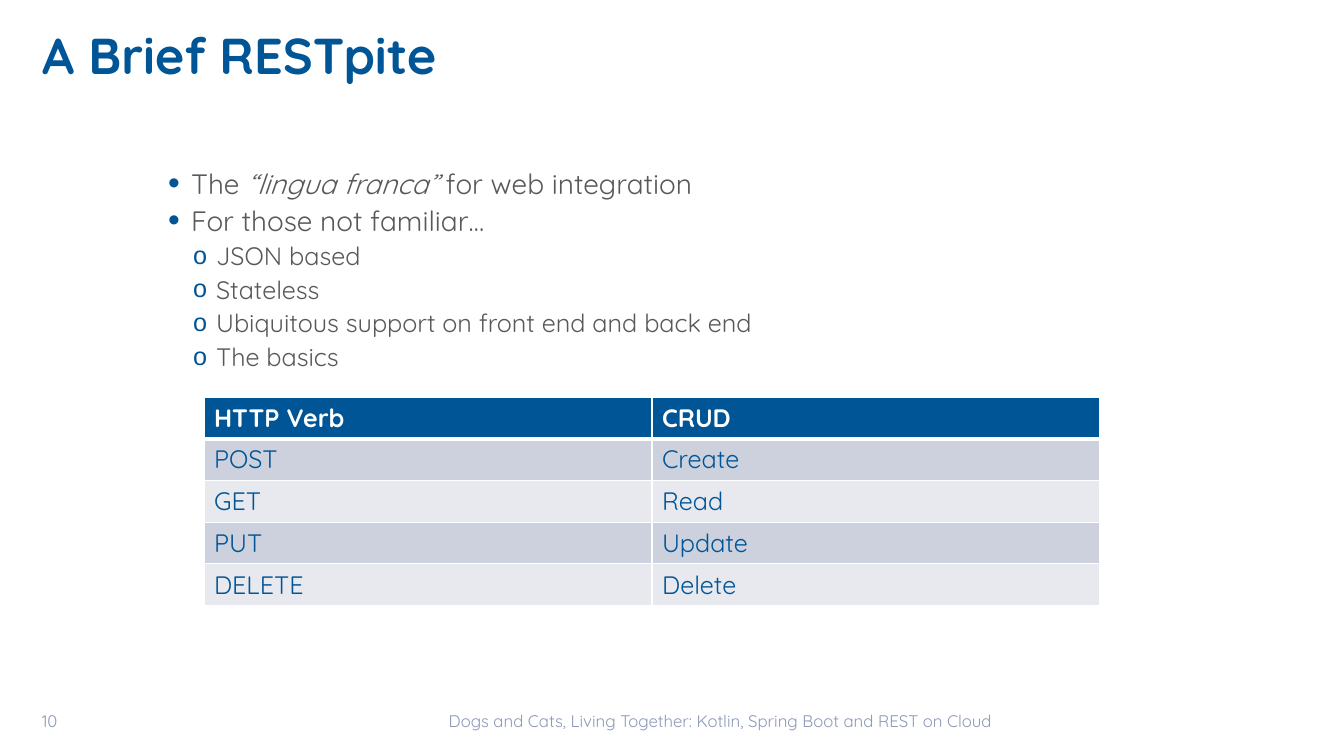
from lxml.etree import SubElement
from pptx import Presentation
from pptx.dml.color import RGBColor
from pptx.enum.text import MSO_ANCHOR, MSO_AUTO_SIZE, PP_ALIGN
from pptx.oxml.ns import qn
from pptx.util import Emu, Pt

BLUE = RGBColor(0x00, 0x55, 0x96)
GREY = RGBColor(0x58, 0x59, 0x5A)
MUTED = RGBColor(0x8C, 0x99, 0xB8)
WHITE = RGBColor(0xFE, 0xFF, 0xFF)
BAND_DARK = RGBColor(0xCC, 0xD1, 0xDD)
BAND_LIGHT = RGBColor(0xE7, 0xE9, 0xEF)
PX = 914400 / 100.8


def place(box, frame, anchor):
    box.left, box.top, box.width, box.height = [Emu(round(n * PX)) for n in frame]
    layout = {"word_wrap": True, "auto_size": MSO_AUTO_SIZE.NONE, "vertical_anchor": anchor}
    for name, value in layout.items():
        setattr(box.text_frame, name, value)


def write(para, text, size, color, bold=False, italic=False):
    span = para.add_run()
    span.text = text
    span.font.color.rgb = color
    style = {"name": "Quicksand", "size": Pt(size), "bold": bold, "italic": italic}
    for name, value in style.items():
        setattr(span.font, name, value)


deck = Presentation()
deck.slide_width, deck.slide_height = Emu(round(1344 * PX)), Emu(round(756 * PX))
page = deck.slides.add_slide(deck.slide_layouts[1])

# Title
title = page.shapes.title
place(title, (32, 18, 1282, 73), MSO_ANCHOR.MIDDLE)
title.text_frame.paragraphs[0].alignment = PP_ALIGN.LEFT
write(title.text_frame.paragraphs[0], "A Brief RESTpite", 36, BLUE, bold=True)

# Bullet list: level and spans of each point
points = [
    (0, ["The ", "“lingua franca” ", "for web integration"]),
    (0, ["For those not familiar…"]),
    (1, ["JSON based"]),
    (1, ["Stateless"]),
    (1, ["Ubiquitous support on front end and back end"]),
    (1, ["The basics"]),
]
levels = [("•", 28, 20, 120000), ("o", 53, 18, 100000)]
body = page.placeholders[1]
place(body, (153, 161, 996, 495), MSO_ANCHOR.TOP)
for index, (level, texts) in enumerate(points):
    mark, indent, size, mark_size = levels[level]
    para = body.text_frame.paragraphs[0] if index == 0 else body.text_frame.add_paragraph()
    para.level = level
    para.space_before = Pt(2.5 if index else 0)
    properties = para._p.get_or_add_pPr()
    properties.set("marL", str(round(indent * PX)))
    properties.set("indent", str(round(-23 * PX)))
    mark_color = SubElement(properties, qn("a:buClr"))
    SubElement(mark_color, qn("a:srgbClr")).set("val", str(BLUE))
    SubElement(properties, qn("a:buSzPct")).set("val", str(mark_size))
    SubElement(properties, qn("a:buChar")).set("char", mark)
    for text in texts:
        write(para, text, size, GREY, italic=text.startswith("“"))

# Verb table
rows = [
    ("HTTP Verb", "CRUD"),
    ("POST", "Create"),
    ("GET", "Read"),
    ("PUT", "Update"),
    ("DELETE", "Delete"),
]
frame = [Emu(round(n * PX)) for n in (204, 397, 896, 205)]
table = page.shapes.add_table(len(rows), 2, *frame).table
for row, texts in enumerate(rows):
    for column, text in enumerate(texts):
        cell = table.cell(row, column)
        header = row == 0
        write(cell.text_frame.paragraphs[0], text, 18, WHITE if header else BLUE, bold=header)
        for side in ("lnL", "lnR", "lnT", "lnB"):
            thick = (header and side == "lnB") or (row == 1 and side == "lnT")
            border = SubElement(cell._tc.get_or_add_tcPr(), qn("a:" + side))
            border.set("w", str(Pt(3 if thick else 1)))
            border_fill = SubElement(border, qn("a:solidFill"))
            SubElement(border_fill, qn("a:srgbClr")).set("val", str(WHITE))
        cell.fill.solid()
        cell.fill.fore_color.rgb = BLUE if header else (BAND_DARK if row % 2 else BAND_LIGHT)

# Footer and page number
footers = [
    ("Dogs and Cats, Living Together: Kotlin, Spring Boot and REST on Cloud",
     (292, 701, 857, 40), PP_ALIGN.CENTER),
    ("10", (32, 701, 85, 40), PP_ALIGN.LEFT),
]
for text, area, alignment in footers:
    box = page.shapes.add_textbox(0, 0, 0, 0)
    place(box, area, MSO_ANCHOR.MIDDLE)
    box.text_frame.paragraphs[0].alignment = alignment
    write(box.text_frame.paragraphs[0], text, 12, MUTED)

deck.save("out.pptx")
